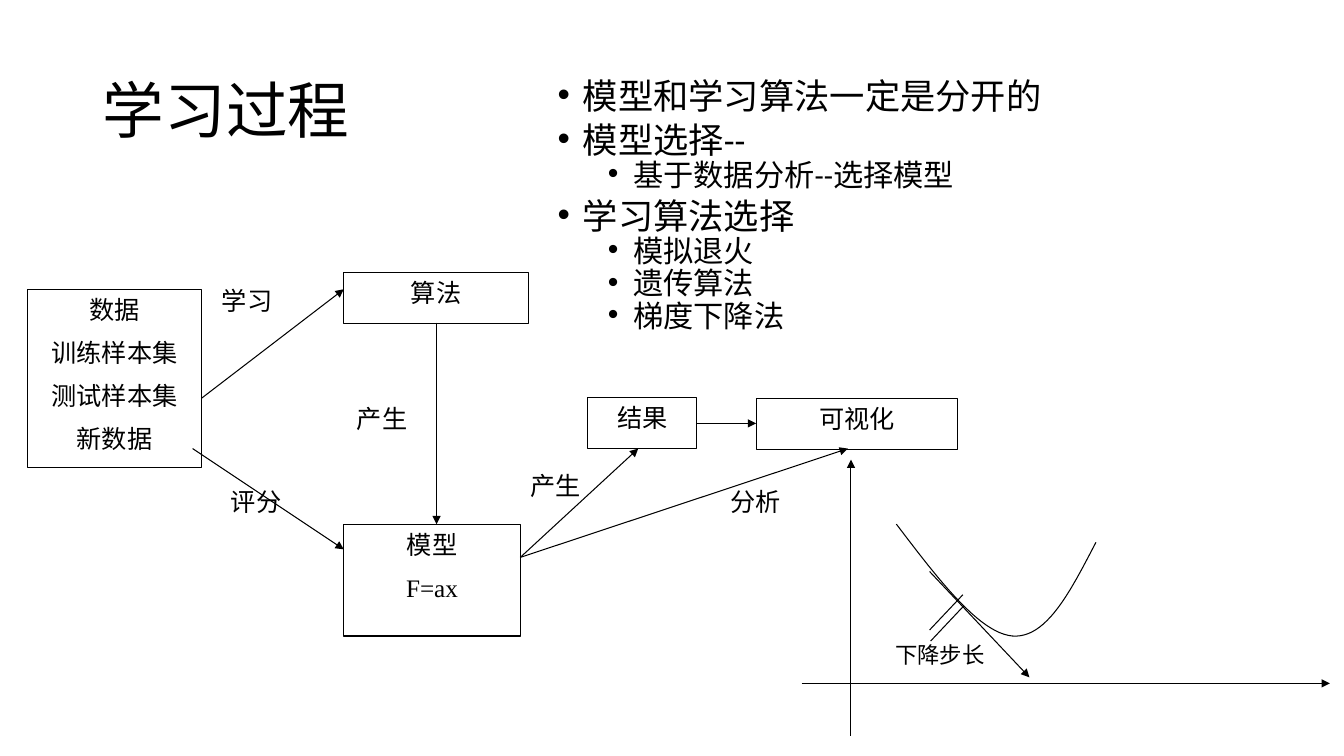
from dataclasses import dataclass
from typing import NamedTuple

from lxml import etree
from pptx import Presentation
from pptx import util as u
from pptx.dml import color
from pptx.enum import shapes, text
from pptx.oxml import ns

SCALE = 9144


@dataclass(frozen=True)
class Theme:
    ink: color.RGBColor = color.RGBColor(0, 0, 0)
    head: str = "Calibri"
    body: str = "Times New Roman"
    title: float = 44
    list: tuple[float, float] = (25.2, 21.6)
    label: float = 18
    small: float = 16
    line: float = 0.75


class Area(NamedTuple):
    left: int
    top: int
    width: int
    height: int


class Box(NamedTuple):
    area: Area
    lines: list[str]


class Label(NamedTuple):
    area: Area
    words: str
    size: float
    align: text.PP_ALIGN = text.PP_ALIGN.CENTER


class Line(NamedTuple):
    start: tuple[int, int]
    end: tuple[int, int]
    arrow: bool = True


class Item(NamedTuple):
    words: str
    level: int = 0


THEME = Theme()

BOXES = [
    Box(Area(27, 287, 173, 177), ["数据", "训练样本集", "测试样本集", "新数据"]),
    Box(Area(341, 270, 183, 51), ["算法"]),
    Box(Area(341, 520, 175, 111), ["模型", "F=ax"]),
    Box(Area(583, 394, 108, 51), ["结果"]),
    Box(Area(750, 395, 200, 51), ["可视化"]),
]

FLOWS = [
    Line((200, 395), (341, 287)),
    Line((433, 320), (433, 520)),
    Line((516, 553), (841, 445)),
    Line((191, 445), (341, 545)),
    Line((516, 553), (633, 445)),
    Line((691, 420), (750, 420)),
]

LABELS = [
    Label(Area(191, 278, 108, 50), "学习", THEME.label),
    Label(Area(325, 395, 108, 50), "产生", THEME.label),
    Label(Area(200, 478, 108, 50), "评分", THEME.label),
    Label(Area(516, 462, 100, 50), "产生", THEME.label, text.PP_ALIGN.LEFT),
    Label(Area(683, 478, 133, 50), "分析", THEME.label),
]

ITEMS = [
    Item("模型和学习算法一定是分开的"),
    Item("模型选择--"),
    Item("基于数据分析--选择模型", 1),
    Item("学习算法选择"),
    Item("模拟退火", 1),
    Item("遗传算法", 1),
    Item("梯度下降法", 1),
]

AXES = [Line((795, 678), (1319, 678)), Line((844, 730), (844, 456))]
STEPS = [
    Line((922, 567), (1021, 672)),
    Line((922, 625), (955, 590), False),
    Line((923, 636), (956, 601), False),
]
CURVE = [
    ((889, 520), (930, 574), (971, 628), (1004, 631)),
    ((1004, 631), (1038, 634), (1062, 586), (1087, 538)),
]
STEP = Label(Area(878, 631, 218, 37), "下降步长", THEME.small, text.PP_ALIGN.LEFT)


def px(size: float) -> u.Emu:
    return u.Emu(round(size * SCALE))


def place(shape, area: Area) -> None:
    shape.left, shape.top, shape.width, shape.height = map(px, area)


def style(para, face: str, size: float, align: text.PP_ALIGN) -> None:
    para.font.name = face
    para.font.size = u.Pt(size)
    para.font.color.rgb = THEME.ink
    para.alignment = align


def write(frame, lines: list[str], size: float, align: text.PP_ALIGN) -> None:
    frame.word_wrap = True
    frame.vertical_anchor = text.MSO_ANCHOR.TOP
    frame.text = "\n".join(lines)
    for para in frame.paragraphs:
        style(para, THEME.body, size, align)
        para.space_before = u.Pt(size / 2)


def stroke(shape) -> None:
    shape.line.color.rgb = THEME.ink
    shape.line.width = u.Pt(THEME.line)


def add_box(pool, box: Box) -> None:
    shape = pool.add_shape(shapes.MSO_SHAPE.RECTANGLE, *map(px, box.area))
    shape.shadow.inherit = False
    shape.fill.background()
    stroke(shape)
    write(shape.text_frame, box.lines, THEME.label, text.PP_ALIGN.CENTER)


def add_label(pool, label: Label) -> None:
    shape = pool.add_textbox(*map(px, label.area))
    write(shape.text_frame, [label.words], label.size, label.align)


def add_line(pool, line: Line) -> None:
    ends = map(px, line.start + line.end)
    shape = pool.add_connector(shapes.MSO_CONNECTOR.STRAIGHT, *ends)
    stroke(shape)
    if line.arrow:
        pen = shape.line._get_or_add_ln()
        etree.SubElement(pen, ns.qn("a:tailEnd"), type="triangle")
    etree.SubElement(shape._element.spPr, ns.qn("a:effectLst"))


def trace(curve: list, count: int = 24) -> list[tuple[int, int]]:
    dots = [tuple(map(px, curve[0][0]))]
    for a, b, c, d in curve:
        for i in range(1, count + 1):
            t = i / count
            s = 1 - t
            mix = (s**3, 3 * s * s * t, 3 * s * t * t, t**3)
            dots.append(tuple(
                px(sum(m * v for m, v in zip(mix, axis)))
                for axis in zip(a, b, c, d)
            ))
    return dots


def add_curve(pool, curve: list) -> None:
    first, *rest = trace(curve)
    pen = pool.build_freeform(*first)
    pen.add_line_segments(rest, close=False)
    shape = pen.convert_to_shape()
    shape.shadow.inherit = False
    shape.fill.background()
    stroke(shape)


def fill_title(shape, words: str) -> None:
    place(shape, Area(92, 40, 1150, 145))
    frame = shape.text_frame
    frame.text = words
    frame.auto_size = text.MSO_AUTO_SIZE.NONE
    frame.vertical_anchor = text.MSO_ANCHOR.MIDDLE
    para = frame.paragraphs[0]
    style(para, THEME.head, THEME.title, text.PP_ALIGN.LEFT)
    para.line_spacing = 0.9


def fill_list(shape, items: list[Item]) -> None:
    place(shape, Area(543, 80, 666, 271))
    frame = shape.text_frame
    frame.text = "\n".join(item.words for item in items)
    frame.auto_size = text.MSO_AUTO_SIZE.NONE
    for para, item in zip(frame.paragraphs, items):
        para.level = item.level
        style(para, THEME.head, THEME.list[item.level], text.PP_ALIGN.LEFT)
        para.line_spacing = 0.7
        para.space_before = u.Pt((10, 5)[item.level])
        props = para._p.get_or_add_pPr()
        props.set("marL", str(px(25 + 50 * item.level)))
        props.set("indent", str(px(-25)))
        mark = etree.Element(ns.qn("a:buChar"), char="•")
        props.find(ns.qn("a:spcBef")).addnext(mark)
        mark.addprevious(etree.Element(ns.qn("a:buFont"), typeface="Arial"))


def main() -> None:
    deck = Presentation()
    deck.slide_width, deck.slide_height = px(1333), px(750)
    slide = deck.slides.add_slide(deck.slide_layouts[1])
    fill_title(slide.shapes.title, "学习过程")
    fill_list(slide.placeholders[1], ITEMS)
    for box in BOXES:
        add_box(slide.shapes, box)
    for line in FLOWS:
        add_line(slide.shapes, line)
    for label in LABELS:
        add_label(slide.shapes, label)
    plot = slide.shapes.add_group_shape().shapes
    for line in AXES:
        add_line(plot, line)
    add_curve(plot, CURVE)
    for line in STEPS:
        add_line(plot, line)
    add_label(plot, STEP)
    deck.save("out.pptx")


if __name__ == "__main__":
    main()
